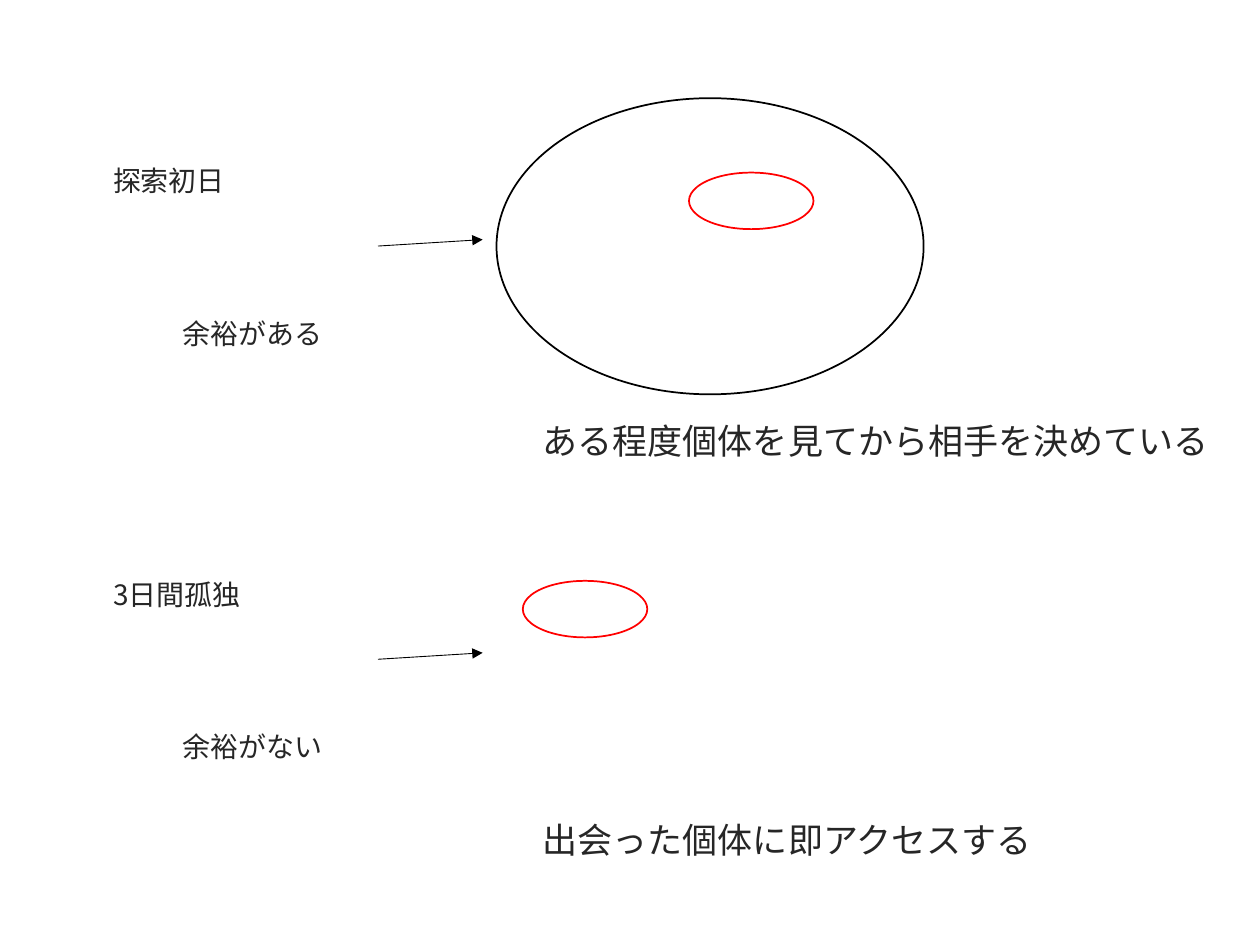
from lxml import etree
from pptx import Presentation
from pptx import util as u
from pptx.dml.color import RGBColor
from pptx.enum import shapes, text
from pptx.oxml.ns import qn

ROW_STEP = 8.33


def rgb(value):
    return RGBColor.from_string(value)


class Board:
    """Style and current slide, with a method for each kind of element."""

    font = "Noto Sans CJK JP"
    ink = "262626"
    black = "000000"
    red = "FF0000"

    def __init__(self, slide):
        self.s = slide

    def label(self, left, top, width, words, size=16):
        height = 0.94 if size == 16 else 1.12
        sp = self.s.shapes.add_textbox(u.Cm(left), u.Cm(top), u.Cm(width), u.Cm(height))
        tf = sp.text_frame
        tf.text = words
        tf.word_wrap = True
        tf.auto_size = text.MSO_AUTO_SIZE.SHAPE_TO_FIT_TEXT
        r = tf.paragraphs[0].runs[0]
        r.font.size = u.Pt(size)
        r.font.name = self.font
        r.font.color.rgb = rgb(self.ink)
        etree.SubElement(r.font._element, qn("a:ea"), typeface=self.font)

    def ellipse(self, left, top, width, height, color):
        sp = self.s.shapes.add_shape(
            shapes.MSO_SHAPE.OVAL, u.Cm(left), u.Cm(top), u.Cm(width), u.Cm(height))
        sp.shadow.inherit = False
        sp.fill.background()
        sp.line.color.rgb = rgb(color)
        sp.line.width = u.Pt(1)

    def arrow(self, x1, y1, x2, y2):
        sp = self.s.shapes.add_connector(
            shapes.MSO_CONNECTOR.STRAIGHT, u.Cm(x1), u.Cm(y1), u.Cm(x2), u.Cm(y2))
        sp.line.color.rgb = rgb(self.black)
        sp.line.width = u.Pt(0.5)
        etree.SubElement(sp.line._get_or_add_ln(), qn("a:tailEnd"), type="triangle")
        etree.SubElement(sp._element.spPr, qn("a:effectLst"))

    def condition(self, top, name, name_width, state):
        self.label(2.03, top, name_width, name)
        self.label(3.43, top + 3.07, 3.37, state)
        self.arrow(7.62, top + 1.78, 9.73, top + 1.65)

    def chosen(self, left, top):
        self.ellipse(left, top, 2.51, 1.14, self.red)


def main():
    prs = Presentation()
    prs.slide_width, prs.slide_height = u.Cm(25.4), u.Cm(19.05)
    board = Board(prs.slides.add_slide(prs.slide_layouts[6]))

    board.ellipse(10.01, 1.98, 8.61, 5.97, board.black)
    board.condition(3.18, "探索初日", 2.81, "余裕がある")
    board.label(10.69, 8.33, 14.05, "ある程度個体を見てから相手を決めている", 20)
    board.chosen(13.89, 3.48)

    board.condition(3.18 + ROW_STEP, "3日間孤独", 3.15, "余裕がない")
    board.label(10.69, 16.38, 10.49, "出会った個体に即アクセスする", 20)
    board.chosen(10.54, 11.71)

    prs.save("out.pptx")


if __name__ == "__main__":
    main()
